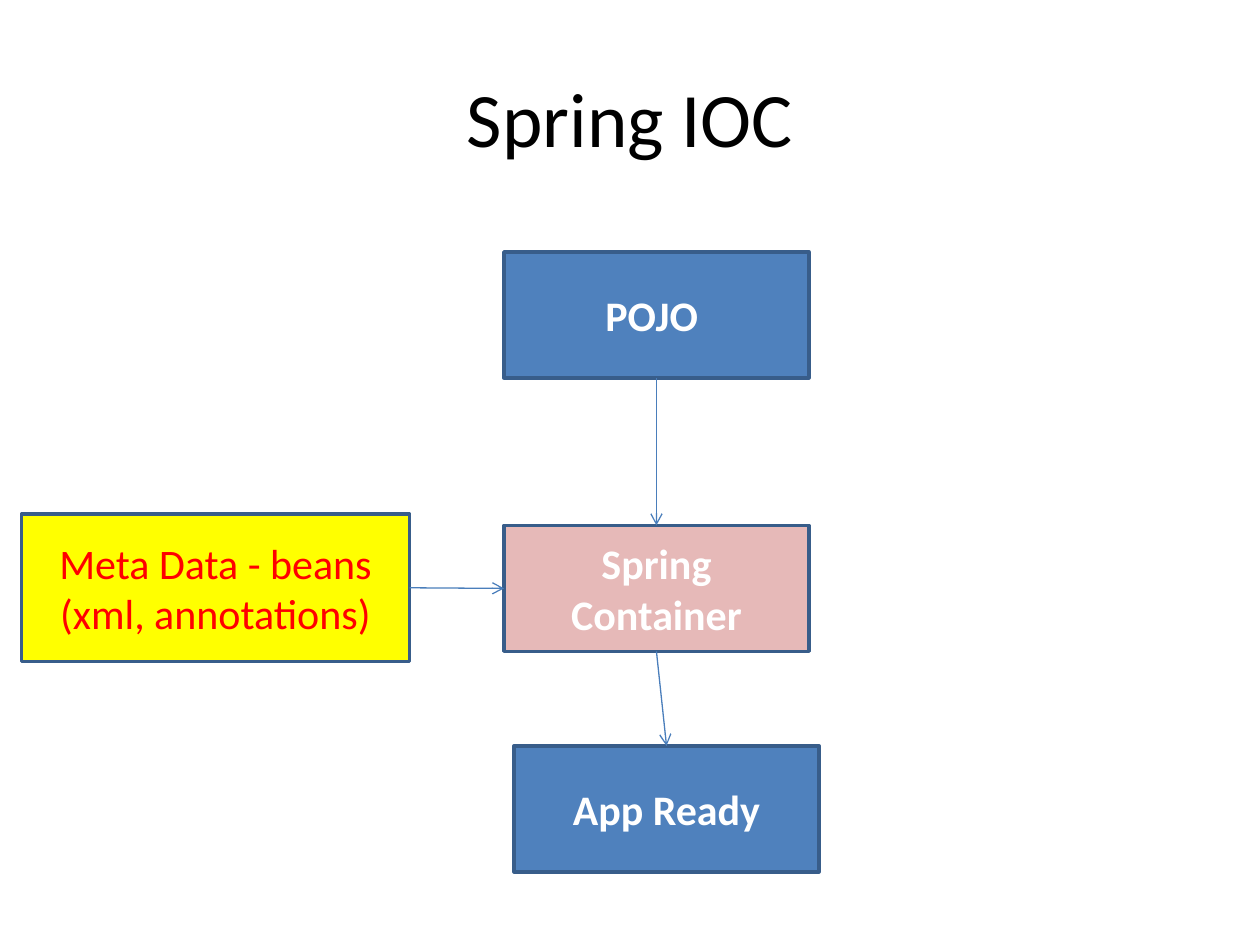
import dataclasses

import pptx
import pptx.dml.color
import pptx.enum.shapes
import pptx.enum.text
import pptx.oxml.ns
import pptx.util
from lxml import etree

Inches = pptx.util.Inches
TOP, LEFT, BOTTOM, RIGHT = range(4)


@dataclasses.dataclass(frozen=True)
class Theme:
    font: str = "Calibri"
    head: int = 44
    body: int = 24
    edge: float = 2
    thin: float = 0.75
    black: str = "000000"
    white: str = "FFFFFF"
    red: str = "FF0000"
    blue: str = "4F81BD"
    pink: str = "E6B9B8"
    yellow: str = "FFFF00"
    border: str = "385D8A"
    arrow: str = "4A7EBB"


def rgb(code):
    return pptx.dml.color.RGBColor.from_string(code)


class Deck:
    """Draw styled elements on the current slide."""

    def __init__(self, theme):
        self.theme = theme
        self.show = pptx.Presentation()
        self.show.slide_width, self.show.slide_height = Inches(10), Inches(7.5)
        self.slide = self.show.slides.add_slide(self.show.slide_layouts[5])

    def label(self, shape, lines, size, color, bold=False):
        frame = shape.text_frame
        frame.word_wrap = True
        frame.vertical_anchor = pptx.enum.text.MSO_ANCHOR.MIDDLE
        for i, line in enumerate(lines):
            para = frame.add_paragraph() if i else frame.paragraphs[0]
            para.alignment = pptx.enum.text.PP_ALIGN.CENTER
            run = para.add_run()
            run.text = line
            run.font.name = self.theme.font
            run.font.size = pptx.util.Pt(size)
            run.font.bold = bold
            run.font.color.rgb = rgb(color)

    def title(self, text):
        shape = self.slide.shapes.title
        shape.left, shape.top = Inches(0.5), Inches(0.3)
        shape.width, shape.height = Inches(9), Inches(1.25)
        self.label(shape, [text], self.theme.head, self.theme.black)

    def box(self, lines, x, y, fill, w=2.42, h=1, color=None):
        shape = self.slide.shapes.add_shape(
            pptx.enum.shapes.MSO_SHAPE.RECTANGLE,
            Inches(x), Inches(y), Inches(w), Inches(h))
        shape.shadow.inherit = False
        shape.fill.solid()
        shape.fill.fore_color.rgb = rgb(fill)
        shape.line.color.rgb = rgb(self.theme.border)
        shape.line.width = pptx.util.Pt(self.theme.edge)
        self.label(shape, lines, self.theme.body,
                   color or self.theme.white, bold=color is None)
        return shape

    def arrow(self, start, leave, end, enter):
        link = self.slide.shapes.add_connector(
            pptx.enum.shapes.MSO_CONNECTOR.STRAIGHT, 0, 0, 0, 0)
        link.begin_connect(start, leave)
        link.end_connect(end, enter)
        link.line.color.rgb = rgb(self.theme.arrow)
        link.line.width = pptx.util.Pt(self.theme.thin)
        qn = pptx.oxml.ns.qn
        props = link.element.spPr
        etree.SubElement(props.find(qn("a:ln")), qn("a:tailEnd"), type="arrow")
        etree.SubElement(props, qn("a:effectLst"))


def main():
    theme = Theme()
    deck = Deck(theme)
    deck.title("Spring IOC")
    core = deck.box(["Spring Container"], 4, 4.17, theme.pink)
    pojo = deck.box(["POJO "], 4, 2, theme.blue)
    meta = deck.box(["Meta Data - beans", "(xml, annotations)"],
                    0.17, 4.08, theme.yellow, 3.08, 1.17, theme.red)
    ready = deck.box(["App Ready"], 4.08, 5.92, theme.blue)
    deck.arrow(pojo, BOTTOM, core, TOP)
    deck.arrow(meta, RIGHT, core, LEFT)
    deck.arrow(core, BOTTOM, ready, TOP)
    deck.show.save("out.pptx")


if __name__ == "__main__":
    main()
